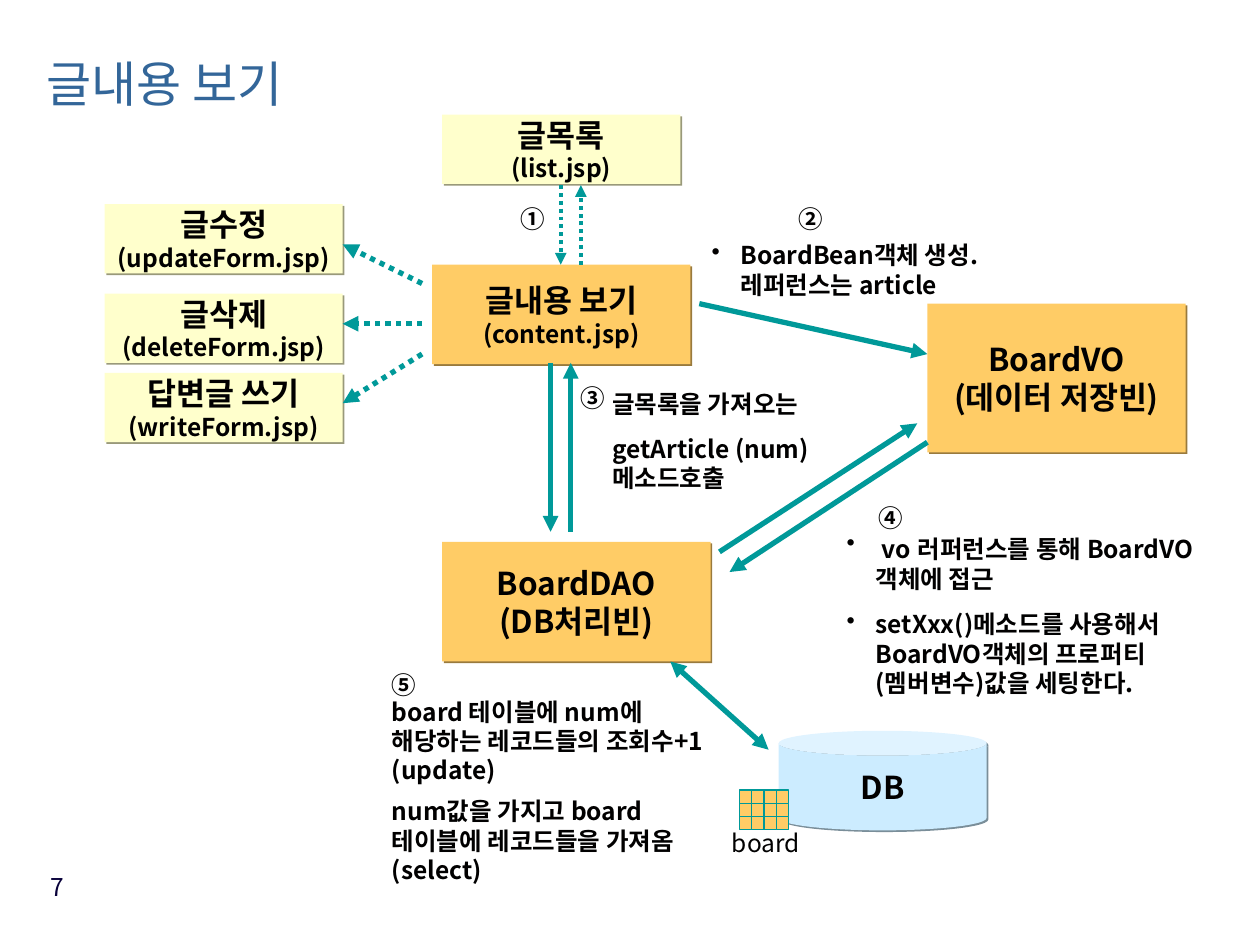
from dataclasses import dataclass
from itertools import product
from lxml.etree import SubElement
from pptx import Presentation
from pptx.dml.color import RGBColor
from pptx.enum.dml import MSO_LINE
from pptx.enum.shapes import MSO_CONNECTOR, MSO_SHAPE
from pptx.enum.text import MSO_ANCHOR, MSO_AUTO_SIZE, PP_ALIGN
from pptx.oxml.ns import qn
from pptx.util import Emu, Inches, Pt

COLS, ROWS = 100, 75
FONT = "Noto Sans CJK KR"
INK, TEAL, BLUE, NAVY = "010000", "009999", "336699", "08003A"
CREAM, ORANGE, SKY = "FFFFCC", "FFCC66", "CCECFF"
SHADOWS = {CREAM: "99997A", ORANGE: "997A3D", SKY: "7A8E99"}

prs = Presentation()
prs.slide_width, prs.slide_height = Inches(10), Inches(7.5)
s = prs.slides.add_slide(prs.slide_layouts[5])


@dataclass
class Area:
    """A rectangle in grid columns and rows."""
    col: float
    row: float
    cols: float
    rows: float

    def emu(self) -> tuple:
        return x(self.col), y(self.row), x(self.cols), y(self.rows)


@dataclass
class Node:
    area: Area
    lines: tuple
    fill: str = ORANGE
    sizes: tuple = (18, 18)
    shape: MSO_SHAPE = MSO_SHAPE.RECTANGLE


@dataclass
class Note:
    area: Area
    paragraphs: tuple  # each paragraph is a tuple of (text, size, bold) runs
    side: float = 0
    edge: float = 0.05
    bullet: bool = False


@dataclass
class Arrow:
    start: tuple
    end: tuple
    dotted: bool = False
    width: float = 3
    both: bool = False


def x(cols: float) -> Emu:
    return Emu(round(prs.slide_width * cols / COLS))


def y(rows: float) -> Emu:
    return Emu(round(prs.slide_height * rows / ROWS))


def rgb(color: str) -> RGBColor:
    return RGBColor.from_string(color)


def style(r, size: float, color: str = INK, bold: bool = False) -> None:
    r.font.size, r.font.bold, r.font.name = Pt(size), bold, FONT
    r.font.color.rgb = rgb(color)
    SubElement(r._r.get_or_add_rPr(), qn("a:ea"), typeface=FONT)


def set_frame(tf, side: float = 0.1, edge: float = 0.05, wrap: bool = True) -> None:
    tf.margin_left = tf.margin_right = Inches(side)
    tf.margin_top = tf.margin_bottom = Inches(edge)
    tf.word_wrap = wrap


def add_bullet(p) -> None:
    pPr = p._p.get_or_add_pPr()
    pPr.set("marL", str(Inches(0.23)))
    pPr.set("indent", str(-Inches(0.23)))
    SubElement(SubElement(pPr, qn("a:buClr")), qn("a:srgbClr"), val=INK)
    SubElement(pPr, qn("a:buChar"), char="•")


def draw_node(node: Node) -> None:
    sp = s.shapes.add_shape(node.shape, *node.area.emu())
    sp.fill.solid()
    sp.fill.fore_color.rgb = rgb(node.fill)
    sp.line.fill.background()
    effects = SubElement(sp._element.spPr, qn("a:effectLst"))
    shadow = SubElement(effects, qn("a:outerShdw"), dist=str(Pt(1.4)),
                        dir="2700000", algn="ctr", rotWithShape="0")
    SubElement(shadow, qn("a:srgbClr"), val=SHADOWS[node.fill])
    tf = sp.text_frame
    tf.text = "\n".join(node.lines)
    tf.vertical_anchor = MSO_ANCHOR.MIDDLE
    set_frame(tf, wrap=False)
    for p, size in zip(tf.paragraphs, node.sizes):
        p.alignment = PP_ALIGN.CENTER
        style(p.runs[0], size, bold=True)


def draw_note(note: Note) -> None:
    tf = s.shapes.add_textbox(*note.area.emu()).text_frame
    set_frame(tf, note.side, note.edge)
    tf.auto_size = MSO_AUTO_SIZE.SHAPE_TO_FIT_TEXT
    for i, runs in enumerate(note.paragraphs):
        p = tf.add_paragraph() if i else tf.paragraphs[0]
        p.space_before = Pt(8.8)
        if note.bullet:
            add_bullet(p)
        for text, size, bold in runs:
            r = p.add_run()
            r.text = text
            style(r, size, bold=bold)


def draw_arrow(arrow: Arrow) -> None:
    (x1, y1), (x2, y2) = arrow.start, arrow.end
    line = s.shapes.add_connector(MSO_CONNECTOR.STRAIGHT, x(x1), y(y1), x(x2), y(y2))
    line.line.color.rgb = rgb(TEAL)
    line.line.width = Pt(arrow.width)
    if arrow.dotted:
        line.line.dash_style = MSO_LINE.ROUND_DOT  # sysDot
    ln = line.line._get_or_add_ln()
    if arrow.both:
        SubElement(ln, qn("a:headEnd"), type="triangle")
    SubElement(ln, qn("a:tailEnd"), type="triangle")
    SubElement(line._element.spPr, qn("a:effectLst"))


def draw_cell(area: Area) -> None:
    sp = s.shapes.add_shape(MSO_SHAPE.RECTANGLE, *area.emu())
    sp.shadow.inherit = False
    sp.fill.solid()
    sp.fill.fore_color.rgb = rgb(ORANGE)
    sp.line.color.rgb = rgb(TEAL)
    sp.line.width = Pt(0.75)


def bold(text: str) -> tuple:
    return ((text, 14, True),)


# Title
title = s.shapes.title
title.left, title.top, title.width, title.height = Area(2.7, 1.7, 32.4, 10.9).emu()
tf = title.text_frame
tf.text = "글내용 보기"
tf.vertical_anchor = MSO_ANCHOR.MIDDLE
set_frame(tf)
tf.paragraphs[0].alignment = PP_ALIGN.LEFT
tf.paragraphs[0].line_spacing = 0.7
style(tf.paragraphs[0].runs[0], 28, BLUE)

# Page number
tf = s.shapes.add_textbox(*Area(1.4, 68.7, 4.7, 5.2).emu()).text_frame
tf.text = "7"
set_frame(tf)
tf.paragraphs[0].alignment = PP_ALIGN.RIGHT
style(tf.paragraphs[0].runs[0], 14, NAVY)

# Pages, beans and database
pages = [(35.1, 9.1, "글목록", "(list.jsp)"),
         (8.3, 16.2, "글수정", "(updateForm.jsp)"),
         (8.3, 23.3, "글삭제", "(deleteForm.jsp)"),
         (8.3, 29.6, "답변글 쓰기", "(writeForm.jsp)")]
nodes = [Node(Area(col, row, 18.9, 5.5), (name, file), CREAM, (18, 14))
         for col, row, name, file in pages]
nodes += [Node(Area(34.3, 21, 20.5, 7.9), ("글내용 보기", "(content.jsp)"), sizes=(18, 14)),
          Node(Area(73.6, 24.1, 20.5, 11.8), ("BoardVO", "(데이터 저장빈)")),
          Node(Area(35.1, 43, 21.3, 9.5), ("BoardDAO", "(DB처리빈)")),
          Node(Area(61.8, 58, 16.5, 7.9), ("DB",), SKY, shape=MSO_SHAPE.CAN)]
for node in nodes:
    draw_node(node)

# Table icon
for row, col in product(range(3), range(4)):
    draw_cell(Area(58.7 + 0.97 * col, 62.7 + 1.05 * row, 1, 1.05))

# Arrows
for arrow in [Arrow((44.5, 14.7), (44.5, 21), True, 2.25),
              Arrow((46.1, 21), (46.1, 14.7), True, 2.25),
              Arrow((33.5, 22.5), (27.2, 19.4), True),
              Arrow((33.5, 25.7), (27.2, 25.7), True),
              Arrow((33.5, 28.1), (27.2, 32), True),
              Arrow((43.7, 28.8), (43.7, 42.2)),
              Arrow((45.3, 42.2), (45.3, 28.8)),
              Arrow((55.5, 24.1), (73.6, 28.1)),
              Arrow((57.1, 43.8), (72.8, 33.6)),
              Arrow((73.6, 35.1), (57.9, 45.4)),
              Arrow((53.2, 52.5), (61, 59.5), both=True)]:
    draw_arrow(arrow)

# Step numbers
steps = {"①": (41.3, 16.2), "②": (63.4, 16.2), "③": (46.1, 30.4),
         "④": (69.7, 39.9), "⑤": (31.1, 53.2)}
for number, (col, row) in steps.items():
    draw_note(Note(Area(col, row, 2.4, 2.3), (bold(number),), edge=0))

# Step descriptions
for note in [
    Note(Area(55.5, 18.6, 25.2, 5.7), (bold("BoardBean객체 생성. 레퍼런스는 article"),),
         side=0.1, bullet=True),
    Note(Area(47.6, 30.4, 22, 9.2),
         (bold("글목록을 가져오는"), bold("getArticle (num)메소드호출")), side=0.1),
    Note(Area(67.2, 41.3, 28.3, 14.6),
         ((*bold(" vo"), (" ", 18, False), *bold("러퍼런스를 통해 BoardVO객체에 접근")),
          bold("setXxx()메소드를 사용해서 BoardVO객체의 프로퍼티(멤버변수)값을 세팅한다.")),
         bullet=True),
    Note(Area(31.1, 54.8, 26, 8),
         (bold("board 테이블에 num에 해당하는 레코드들의 조회수+1 (update)"),)),
    Note(Area(31.1, 62.7, 26, 8),
         (bold("num값을 가지고 board 테이블에 레코드들을 가져옴(select)"),)),
    Note(Area(57.1, 65.2, 10.2, 3.4), ((("board", 14, False),),), side=0.1),
]:
    draw_note(note)

prs.save("out.pptx")
